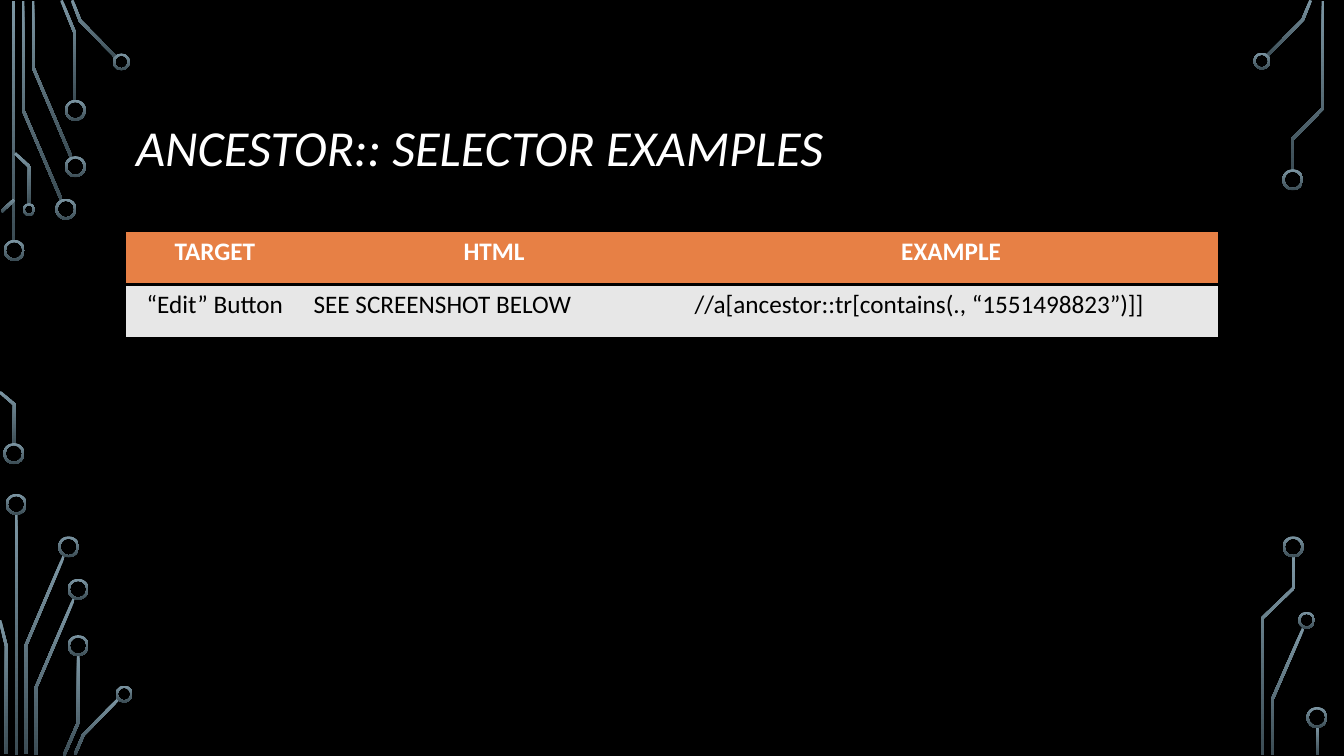
"""Build a dark slide with circuit traces, a title and a selector table."""
from lxml import etree
from pptx import Presentation, util as u
from pptx.dml.color import RGBColor
from pptx.enum import shapes, text
from pptx.oxml.ns import qn

BLACK = RGBColor(0x00, 0x00, 0x00)
WHITE = RGBColor(0xFF, 0xFF, 0xFF)
ORANGE = RGBColor(0xE7, 0x80, 0x45)
PALE_GREY = RGBColor(0xE7, 0xE7, 0xE7)
TRACE_LIGHT = RGBColor(0x7C, 0x96, 0xA3)
TRACE_DARK = RGBColor(0x3B, 0x4C, 0x54)

TRACE_WIDTH = 0.07
RING_THICKNESS = 0.055
NO_STYLE_NO_GRID = "{2D5ABB26-0587-4C30-8999-92F81FD0307C}"


def write_text(frame, wording, size, color, bold=False, italic=False,
               align=text.PP_ALIGN.LEFT, anchor=text.MSO_ANCHOR.TOP, spacing=1.0):
    frame.word_wrap = True
    frame.vertical_anchor = anchor
    paragraph = frame.paragraphs[0]
    paragraph.alignment = align
    paragraph.line_spacing = spacing
    run = paragraph.add_run()
    run.text = wording
    run.font.name = "Calibri"
    run.font.size = u.Pt(size)
    run.font.bold = bold
    run.font.italic = italic
    run.font.color.rgb = color


presentation = Presentation()
presentation.slide_width = u.Cm(33.87)
presentation.slide_height = u.Cm(19.05)
slide = presentation.slides.add_slide(presentation.slide_layouts[6])
slide.background.fill.solid()
slide.background.fill.fore_color.rgb = BLACK

straight_traces = [(0.34, 0.03, 6.1), (0.41, 12.95, 19.02), (33.2, 18.31, 19.02)]
bent_traces = [
    [(1.55, 5.04), (0.58, 2.77), (0.58, 0.03)],
    [(1.8, 3.97), (0.83, 1.69), (0.83, 0.03)],
    [(1.89, 2.54), (1.89, 0.84), (1.55, 0.01)],
    [(2.93, 1.45), (2.02, 0.52), (1.82, 0.01)],
    [(0.04, 5.33), (0.36, 5.03)],
    [(0.36, 11.2), (0.36, 10.19), (0, 9.88)],
    [(0.74, 5.16), (0.74, 4.2), (0.38, 3.86)],
    [(0.65, 19), (0.65, 16.27), (1.61, 14.01)],
    [(0.16, 19), (0.16, 16.28), (0, 15.63)],
    [(0.9, 19.02), (0.9, 17.34), (1.87, 15.07)],
    [(1.61, 19.04), (1.97, 18.21), (1.97, 16.51)],
    [(1.89, 19.01), (2.1, 18.52), (3, 17.6)],
    [(31.93, 1.41), (32.83, 0.5), (33.03, 0.01)],
    [(32.07, 19.02), (32.07, 17.61), (32.84, 15.84)],
    [(32.56, 4.3), (32.56, 3.52), (33.34, 2.73), (33.34, 0.03)],
    [(31.81, 19.02), (31.81, 15.58), (32.6, 14.82), (32.6, 14.02)],
]
rings = {
    0.53: [(0.36, 6.31), (0.35, 11.43), (1.66, 5.27), (1.9, 4.2), (1.9, 2.78),
           (0.41, 12.71), (1.73, 13.78), (1.97, 14.85), (1.97, 16.27),
           (32.58, 4.53), (32.59, 13.78), (33.19, 18.08)],
    0.43: [(3.06, 1.56), (3.13, 17.49), (31.8, 1.54), (32.93, 15.63)],
    0.32: [(0.73, 5.28)],
}

circuit = []
for center, top, bottom in straight_traces:
    circuit.append(slide.shapes.add_shape(
        shapes.MSO_SHAPE.RECTANGLE, u.Cm(center - TRACE_WIDTH / 2), u.Cm(top),
        u.Cm(TRACE_WIDTH), u.Cm(bottom - top)))

for trace in bent_traces:
    points = [complex(x, y) for x, y in trace]
    normals = [(b - a) / abs(b - a) * 1j for a, b in zip(points, points[1:])]
    left_side, right_side = [], []
    for point, before, after in zip(points, normals[:1] + normals, normals + normals[-1:]):
        miter = 2 * (before + after) / abs(before + after) ** 2
        left_side.append(point + miter * TRACE_WIDTH / 2)
        right_side.append(point - miter * TRACE_WIDTH / 2)
    outline = [(u.Cm(p.real), u.Cm(p.imag)) for p in left_side + right_side[::-1]]
    builder = slide.shapes.build_freeform(*outline[0])
    builder.add_line_segments(outline[1:], close=True)
    circuit.append(builder.convert_to_shape())

for diameter, centers in rings.items():
    for x, y in centers:
        ring = slide.shapes.add_shape(
            shapes.MSO_SHAPE.DONUT, u.Cm(x - diameter / 2), u.Cm(y - diameter / 2),
            u.Cm(diameter), u.Cm(diameter))
        ring.adjustments[0] = RING_THICKNESS / diameter
        circuit.append(ring)

for shape in circuit:
    shape.shadow.inherit = False
    shape.line.fill.background()
    shape.fill.gradient()
    shape.fill.gradient_angle = 270
    for stop, color in zip(shape.fill.gradient_stops, (TRACE_LIGHT, TRACE_DARK)):
        stop.color.rgb = color

title = slide.shapes.add_textbox(u.Cm(3.18), u.Cm(1.73), u.Cm(27.51), u.Cm(4.11))
write_text(title.text_frame, "ANCESTOR:: SELECTOR EXAMPLES", size=36, color=WHITE,
           italic=True, anchor=text.MSO_ANCHOR.MIDDLE, spacing=0.9)

column_widths = [4.47, 9.6, 13.44]
row_height = 1.35
rows = [
    ["TARGET", "HTML", "EXAMPLE"],
    ["“Edit” Button", "SEE SCREENSHOT BELOW",
     "//a[ancestor::tr[contains(., “1551498823”)]]"],
]
table_frame = slide.shapes.add_table(
    len(rows), len(column_widths), u.Cm(3.18), u.Cm(5.82),
    u.Cm(sum(column_widths)), u.Cm(row_height * len(rows)))
next(table_frame.element.iter(qn("a:tableStyleId"))).text = NO_STYLE_NO_GRID
table = table_frame.table
table.horz_banding = False
for column, width in zip(table.columns, column_widths):
    column.width = u.Cm(width)

for row_index, row in enumerate(rows):
    table.rows[row_index].height = u.Cm(row_height)
    header = row_index == 0
    for column_index, wording in enumerate(row):
        cell = table.cell(row_index, column_index)
        centered = header or column_index == 0
        write_text(cell.text_frame, wording, size=18, bold=header,
                   color=WHITE if header else BLACK,
                   align=text.PP_ALIGN.CENTER if centered else text.PP_ALIGN.LEFT)
        cell.fill.solid()
        cell.fill.fore_color.rgb = ORANGE if header else PALE_GREY
        properties = next(cell.text_frame._txBody.getparent().iter(qn("a:tcPr")))
        for position, side in enumerate(("a:lnT", "a:lnB")):
            border = etree.Element(qn(side), w=str(u.Pt(2)))
            border_fill = etree.SubElement(border, qn("a:solidFill"))
            etree.SubElement(border_fill, qn("a:srgbClr"), val=str(BLACK))
            properties.insert(position, border)

presentation.save("out.pptx")
